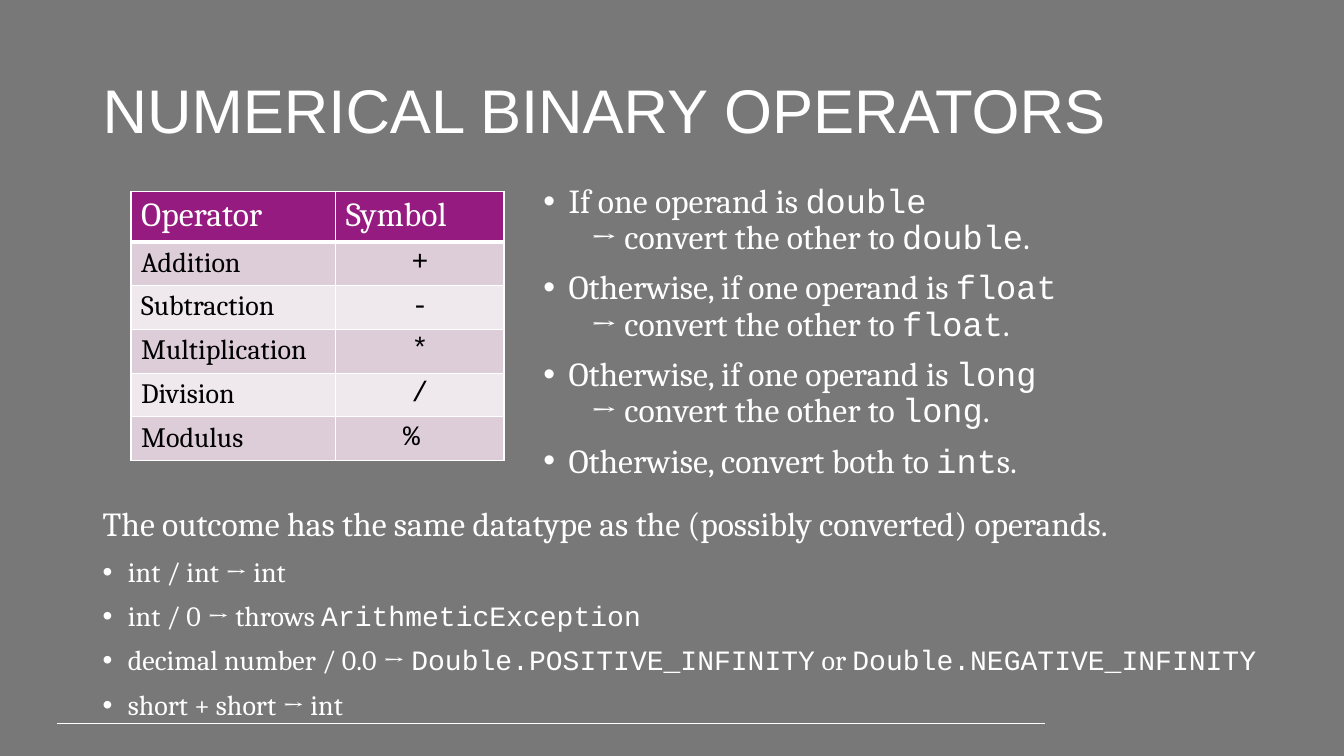
"""Build the slide on numerical binary operators."""
from dataclasses import dataclass

from lxml.etree import SubElement
from pptx import Presentation
from pptx.dml.color import RGBColor
from pptx.enum.shapes import MSO_CONNECTOR
from pptx.enum.text import MSO_ANCHOR, MSO_AUTO_SIZE, PP_ALIGN
from pptx.oxml.ns import qn
from pptx.util import Inches, Pt

WHITE = RGBColor(0xFF, 0xFF, 0xFF)
BLACK = RGBColor(0, 0, 0)
GRAY = RGBColor(0x78, 0x78, 0x78)
PURPLE = RGBColor(0x96, 0x1B, 0x81)
BANDS = (RGBColor(0xDD, 0xCD, 0xD8), RGBColor(0xEF, 0xE8, 0xED))
SERIF, SANS, MONO = "Cambria", "Arial", "Courier New"
BULLET_INDENT = 0.25
ARROW_INDENT = 0.47


@dataclass(frozen=True)
class Line:
    """A paragraph whose code words stand between backticks."""
    text: str
    size: int = 24
    bullet: bool = False
    indent: float = 0
    before: int = 10


@dataclass(frozen=True)
class Operator:
    """A table row."""
    name: str
    symbol: str


OPERATORS = (
    Operator("Addition", "+"),
    Operator("Subtraction", "-"),
    Operator("Multiplication", "*"),
    Operator("Division", "/"),
    Operator("Modulus", "% "),
)
CONVERSIONS = (("If", "double"), ("Otherwise, if", "float"), ("Otherwise, if", "long"))
OUTCOMES = (
    "int / int → int",
    "int / 0 → throws `ArithmeticException`",
    "decimal number / 0.0 → `Double.POSITIVE_INFINITY` or `Double.NEGATIVE_INFINITY`",
    "short + short → int",
)


def write(paragraph, text: str, *, size: int, font: str = SERIF,
          color: RGBColor = WHITE, align: PP_ALIGN = PP_ALIGN.LEFT) -> None:
    """Add text to a paragraph, with backticked parts in the code font."""
    paragraph.alignment = align
    for index, part in enumerate(text.split("`")):
        if part:
            run = paragraph.add_run()
            run.text = part
            run.font.name = MONO if index % 2 else font
            run.font.size = Pt(size)
            run.font.color.rgb = color


def set_indent(paragraph, line: Line) -> None:
    """Set the left margin and the bullet of a paragraph."""
    properties = paragraph._p.get_or_add_pPr()
    margin = BULLET_INDENT if line.bullet else line.indent
    properties.set("marL", str(Inches(margin)))
    properties.set("indent", str(Inches(-BULLET_INDENT if line.bullet else 0)))
    if line.bullet:
        SubElement(properties, qn("a:buFont"), typeface=SANS)
        SubElement(properties, qn("a:buChar"), char="•")


def add_text(slide, lines: list[Line], left: float, top: float, width: float,
             height: float, *, font: str = SERIF, anchor: MSO_ANCHOR = MSO_ANCHOR.TOP,
             auto_size: MSO_AUTO_SIZE = MSO_AUTO_SIZE.SHAPE_TO_FIT_TEXT) -> None:
    """Add a text box with one paragraph per line."""
    shape = slide.shapes.add_textbox(Inches(left), Inches(top), Inches(width), Inches(height))
    frame = shape.text_frame
    frame.word_wrap = True
    frame.auto_size = auto_size
    frame.vertical_anchor = anchor
    for index, line in enumerate(lines):
        paragraph = frame.add_paragraph() if index else frame.paragraphs[0]
        paragraph.line_spacing = 0.9
        paragraph.space_before = Pt(line.before)
        set_indent(paragraph, line)
        write(paragraph, line.text, size=line.size, font=font)


def style_cell(cell, fill: RGBColor, bottom: float = 1) -> None:
    """Give a cell white borders and a solid fill."""
    properties = cell._tc.get_or_add_tcPr()
    for side, width in (("L", 1), ("R", 1), ("T", 1), ("B", bottom)):
        border = SubElement(properties, qn(f"a:ln{side}"), w=str(Pt(width)))
        SubElement(SubElement(border, qn("a:solidFill")), qn("a:srgbClr"), val=str(WHITE))
    cell.fill.solid()
    cell.fill.fore_color.rgb = fill


def add_operator_table(slide) -> None:
    """Add the table of operators and their symbols."""
    rows = len(OPERATORS) + 1
    table = slide.shapes.add_table(rows, 2, Inches(1.3), Inches(1.9),
                                   Inches(3.7), Inches(0.41 * rows)).table
    for column, width in zip(table.columns, (2.03, 1.67)):
        column.width = Inches(width)
    for column, heading in enumerate(("Operator", "Symbol")):
        cell = table.cell(0, column)
        style_cell(cell, PURPLE, bottom=3)
        write(cell.text_frame.paragraphs[0], heading, size=24)
    for index, operator in enumerate(OPERATORS):
        name, symbol = table.cell(index + 1, 0), table.cell(index + 1, 1)
        for cell in (name, symbol):
            style_cell(cell, BANDS[index % 2])
        write(name.text_frame.paragraphs[0], operator.name, size=20, color=BLACK)
        write(symbol.text_frame.paragraphs[0], operator.symbol, size=20, font=MONO,
              color=BLACK, align=PP_ALIGN.CENTER)


def add_footer_line(slide) -> None:
    """Add the thin line at the foot of the slide."""
    line = slide.shapes.add_connector(MSO_CONNECTOR.STRAIGHT, Inches(0.57), Inches(7.18),
                                      Inches(10.36), Inches(7.18))
    line.line.color.rgb = WHITE
    line.line.width = Pt(0.75)
    SubElement(line._element.spPr, qn("a:effectLst"))


def main() -> None:
    """Build and save the presentation."""
    presentation = Presentation()
    presentation.slide_width, presentation.slide_height = Inches(13.33), Inches(7.5)
    slide = presentation.slides.add_slide(presentation.slide_layouts[6])
    slide.background.fill.solid()
    slide.background.fill.fore_color.rgb = GRAY

    add_footer_line(slide)
    add_text(slide, [Line("NUMERICAL BINARY OPERATORS", size=44, before=0)],
             0.92, 0.4, 11.5, 1.45, font=SANS, anchor=MSO_ANCHOR.MIDDLE,
             auto_size=MSO_AUTO_SIZE.NONE)

    rules = []
    for opening, datatype in CONVERSIONS:
        rules.append(Line(f"{opening} one operand is `{datatype}`", bullet=True))
        rules.append(Line(f"→ convert the other to `{datatype}`.",
                          indent=ARROW_INDENT, before=0))
    rules.append(Line("Otherwise, convert both to `int`s.", bullet=True))
    add_text(slide, rules, 5.29, 1.78, 6.72, 3.07)

    add_operator_table(slide)

    summary = Line("The outcome has the same datatype as the (possibly converted) operands.")
    examples = [Line(text, size=20, bullet=True) for text in OUTCOMES]
    add_text(slide, [summary, *examples], 0.92, 4.99, 12.42, 2.24)
    presentation.save("out.pptx")


if __name__ == "__main__":
    main()
